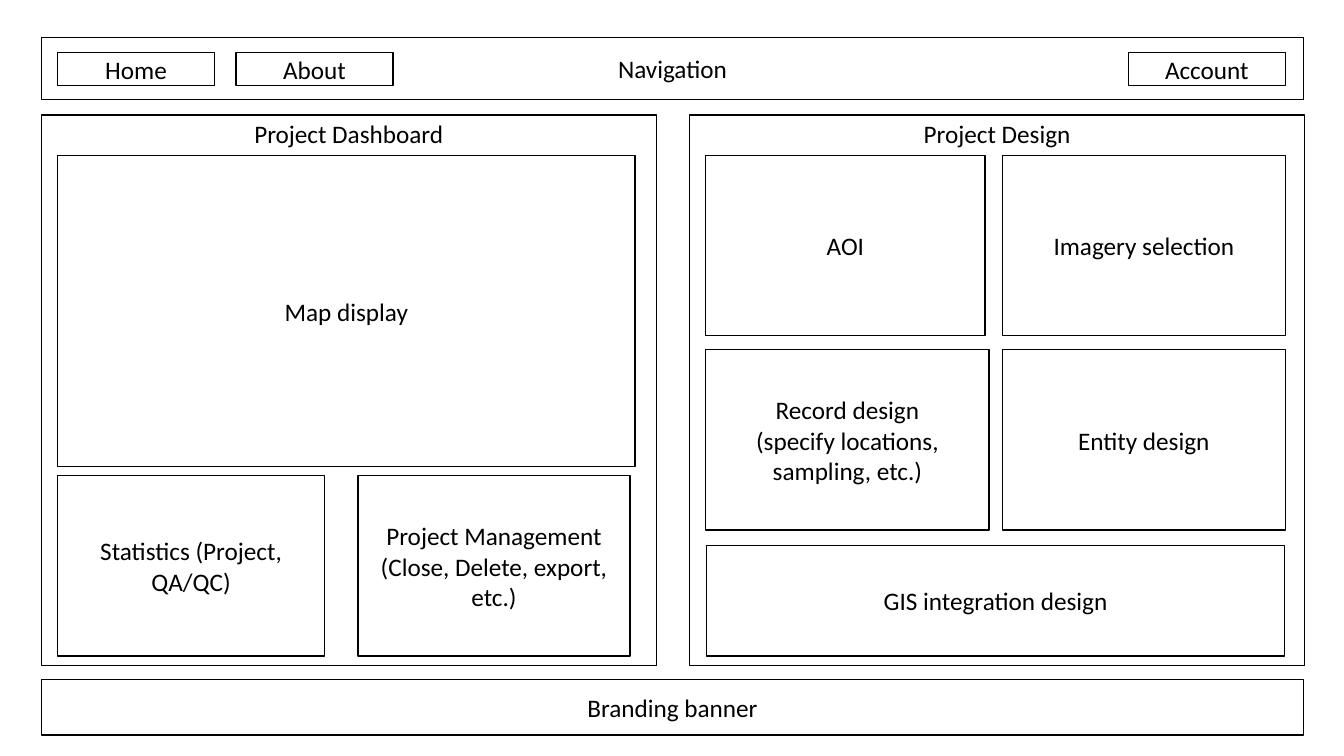
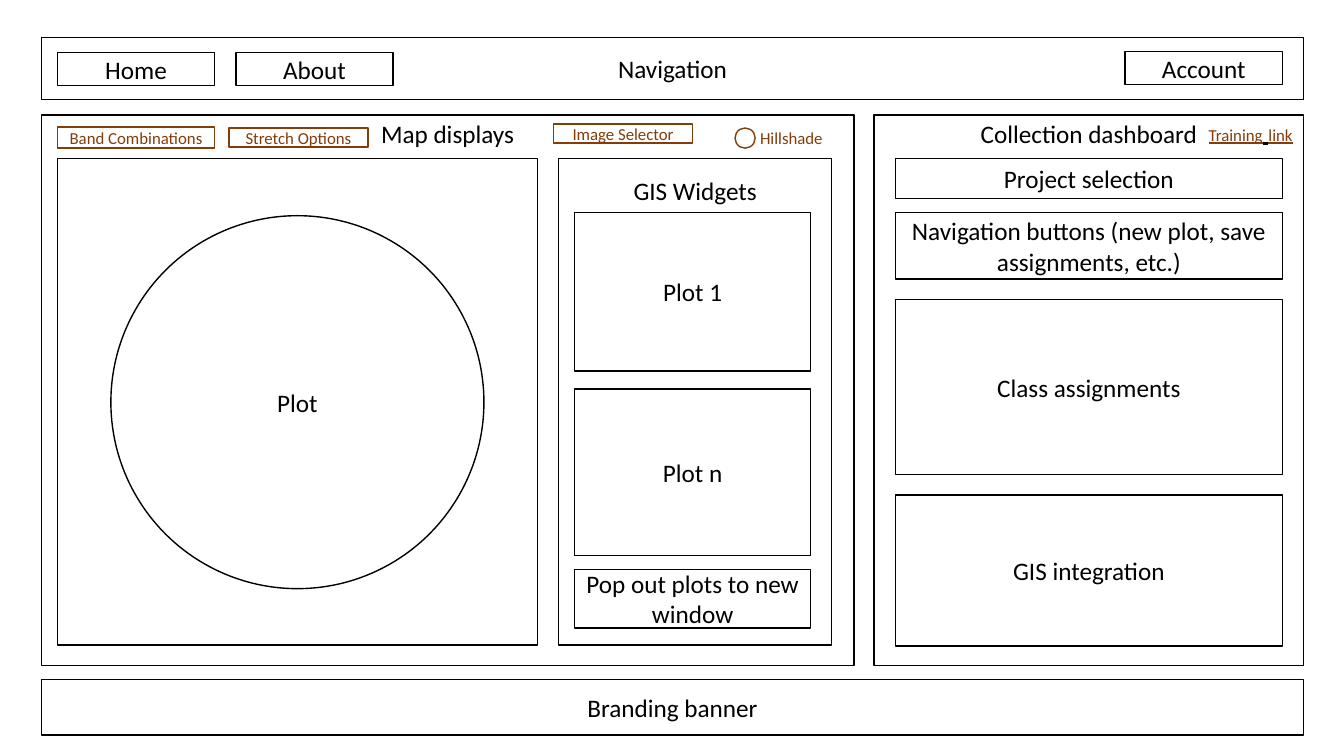
import pptx
import pptx.util
import pptx.dml.color
import pptx.enum.shapes
import pptx.enum.text

Inches = pptx.util.Inches
Pt = pptx.util.Pt
SHAPE = pptx.enum.shapes.MSO_SHAPE
ALIGN = pptx.enum.text.PP_ALIGN
ANCHOR = pptx.enum.text.MSO_ANCHOR

COLOURS = {"ink": "000000", "tool": "843C0B"}
FONT = "Calibri"
BODY, SMALL = 18, 12
LEFT, WIDE = 0.41, 12.52  # page frame
INNER = 0.57  # left edge of the boxes inside the frame
PANEL_TOP, PANEL_HIGH = 1.14, 5.46


def colour(name):
    return pptx.dml.color.RGBColor.from_string(COLOURS[name])


def style(font, size, ink):
    font.name = FONT
    font.size = Pt(size)
    font.color.rgb = colour(ink)


def add_box(slide, text, place, size=BODY, ink="ink", kind=SHAPE.RECTANGLE):
    """Add an unfilled outline with centred text; place is left, top, width, height."""
    box = slide.shapes.add_shape(kind, *map(Inches, place))
    box.shadow.inherit = False
    box.fill.background()
    box.line.color.rgb = colour(ink)
    box.line.width = Pt(1)
    frame = box.text_frame
    frame.word_wrap = True
    frame.vertical_anchor = ANCHOR.MIDDLE
    if text:
        frame.text = text
        for para in frame.paragraphs:
            para.alignment = ALIGN.CENTER
            style(para.font, size, ink)
    return box


def add_panel(slide, text, place, inset=0.03):
    """Add a box whose heading sits at its top edge."""
    frame = add_box(slide, text, place).text_frame
    frame.vertical_anchor = ANCHOR.TOP
    frame.margin_top = Inches(inset)


def add_tool(slide, text, place, kind=SHAPE.RECTANGLE):
    add_box(slide, text, place, SMALL, "tool", kind)


def add_label(slide, place):
    """Add an empty one-line text box and return its paragraph."""
    frame = slide.shapes.add_textbox(*map(Inches, place)).text_frame
    frame.word_wrap = False
    return frame.paragraphs[0]


def add_page(deck, account):
    """Add a slide with the navigation bar and banner; account is that button's left and top."""
    slide = deck.slides.add_slide(deck.slide_layouts[6])
    add_box(slide, "Branding banner", (LEFT, 6.74, WIDE, 0.55))
    add_box(slide, "Navigation", (LEFT, 0.37, WIDE, 0.62))
    buttons = [("Home", INNER, 0.52), ("About", 2.34, 0.52), ("Account", *account)]
    for text, left, top in buttons:
        add_box(slide, text, (left, top, 1.56, 0.33))
    return slide


def build_design(deck):
    slide = add_page(deck, (11.19, 0.52))
    for text, left in [("Project Dashboard", LEFT), ("Project Design", 6.84)]:
        add_panel(slide, text, (left, PANEL_TOP, 6.1, PANEL_HIGH))

    add_box(slide, "Map display", (INNER, 1.54, 5.73, 3.09))
    add_box(slide, "GIS integration design", (7.01, 5.41, 5.73, 1.1))
    cards = [
        ("Statistics (Project, QA/QC)", INNER, 4.72, 2.65),
        ("Project Management (Close, Delete, export, etc.)", 3.55, 4.72, 2.7),
        ("AOI", 7, 1.54, 2.77),
        ("Imagery selection", 9.94, 1.54, 2.81),
        ("Record design\n(specify locations, sampling, etc.)", 7, 3.47, 2.81),
        ("Entity design", 9.94, 3.47, 2.81),
    ]
    for text, left, top, width in cards:
        add_box(slide, text, (left, top, width, 1.79))


def build_collect(deck):
    slide = add_page(deck, (11.16, 0.51))
    add_panel(slide, "Map displays", (LEFT, PANEL_TOP, 8.06, PANEL_HIGH))
    add_panel(slide, "Collection dashboard", (8.67, PANEL_TOP, 4.26, PANEL_HIGH))

    add_box(slide, "", (INNER, 1.57, 4.76, 4.83))
    add_box(slide, "Plot", (1.1, 2.14, 3.7, 3.7), kind=SHAPE.OVAL)
    add_panel(slide, "GIS Widgets", (5.54, 1.57, 2.71, 4.83), inset=0.17)

    stacks = [
        (8.88, 3.84, [
            ("Project selection", 1.57, 0.4),
            ("Navigation buttons (new plot, save assignments, etc.)", 2.11, 0.66),
            ("Class assignments", 2.97, 1.74),
            ("GIS integration", 4.91, 1.5),
        ]),
        (5.7, 2.34, [
            ("Plot 1", 2.11, 1.57),
            ("Plot n", 3.86, 1.65),
            ("Pop out plots to new window", 5.65, 0.58),
        ]),
    ]
    for left, width, rows in stacks:
        for text, top, height in rows:
            add_box(slide, text, (left, top, width, height))

    add_tool(slide, "Band Combinations", (INNER, 1.26, 1.56, 0.21))
    add_tool(slide, "Stretch Options", (2.27, 1.27, 1.38, 0.19))
    add_tool(slide, "Image Selector", (5.49, 1.23, 1.38, 0.19))
    add_tool(slide, "", (7.29, 1.27, 0.2, 0.2), SHAPE.OVAL)

    shade = add_label(slide, (7.44, 1.22, 0.83, 0.3))
    shade.text = "Hillshade"
    style(shade.font, SMALL, "tool")

    link = add_label(slide, (11.89, 1.1, 1.04, 0.4))
    parts = [("Training", SMALL, "tool"), (" ", BODY, "ink"), ("link", SMALL, "tool")]
    for text, size, ink in parts:
        run = link.add_run()
        run.text = text
        style(run.font, size, ink)
        run.font.underline = True


def main():
    deck = pptx.Presentation()
    deck.slide_width = Inches(13.33)
    deck.slide_height = Inches(7.5)
    build_design(deck)
    build_collect(deck)
    deck.save("out.pptx")


if __name__ == "__main__":
    main()
